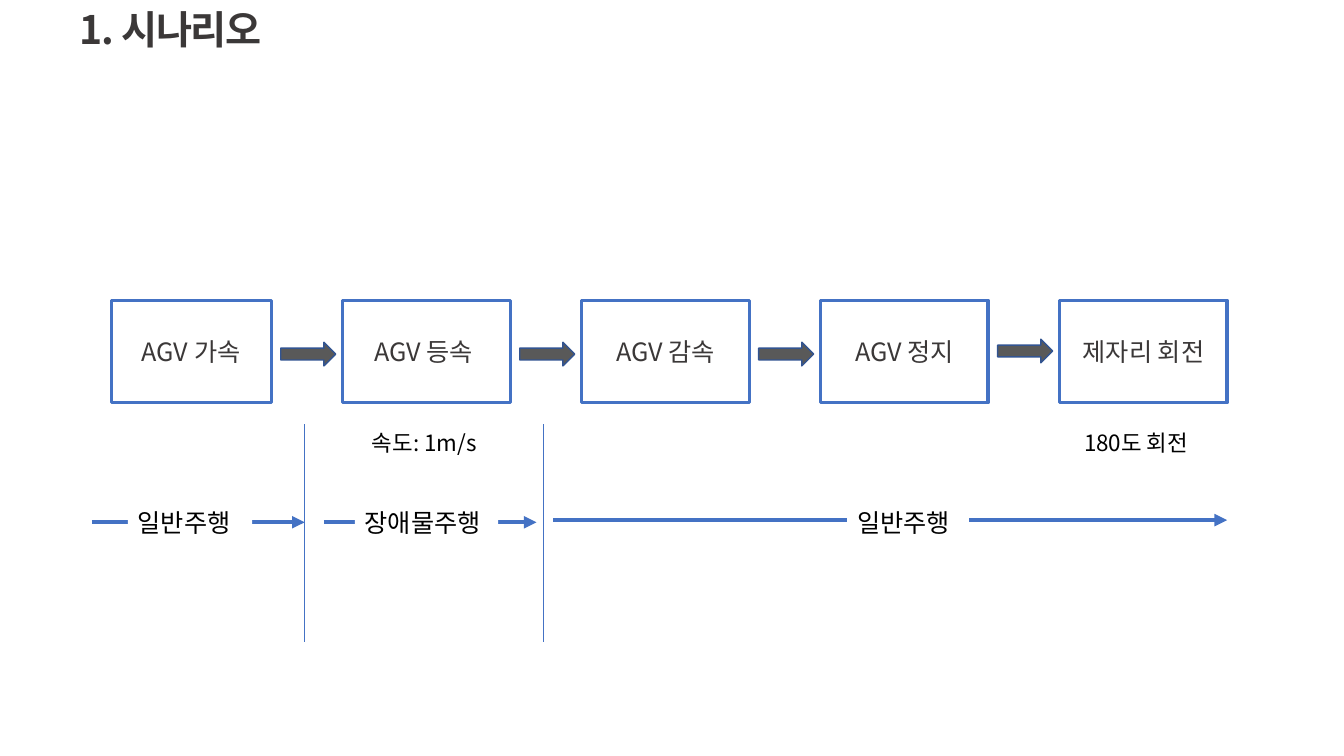
from collections import namedtuple

from lxml import etree
from pptx import Presentation
from pptx.dml.color import RGBColor
from pptx.enum.shapes import MSO_CONNECTOR as Connector, MSO_SHAPE as Shape
from pptx.enum.text import MSO_ANCHOR as Anchor, MSO_AUTO_SIZE as AutoSize, PP_ALIGN as Align
from pptx.oxml.ns import qn
from pptx.util import Inches, Pt

WIDTH, HEIGHT = 13.33, 7.5
COLUMNS = 5
FONT = "Noto Sans CJK KR"
BLUE, NAVY, GRAY, DARK, BLACK, WHITE = "4472C4", "325491", "595959", "3B3838", "000000", "FFFFFF"

Box = namedtuple("Box", "left top width height")


def color(hex_string):
    return RGBColor.from_string(hex_string)


def slide_box(left, top, width, height):
    """Box in inches from percentages of the slide."""
    return Box(left * WIDTH / 100, top * HEIGHT / 100, width * WIDTH / 100, height * HEIGHT / 100)


def grid_box(box, left, top, width, height):
    """Part of a region: columns across, shares of its height down."""
    column = box.width / COLUMNS
    return Box(box.left + left * column, box.top + top * box.height,
               width * column, height * box.height)


def write(shape, text, size, font_color, bold=False, spacing=None):
    frame = shape.text_frame
    frame.text = text
    frame.word_wrap = True
    frame.auto_size = AutoSize.SHAPE_TO_FIT_TEXT
    frame.vertical_anchor = Anchor.TOP
    paragraph = frame.paragraphs[0]
    paragraph.alignment = Align.LEFT
    run = paragraph.runs[0]
    run.font.size, run.font.bold, run.font.name = Pt(size), bold, FONT
    run.font.color.rgb = color(font_color)
    properties = run.font._element
    etree.SubElement(properties, qn("a:ea")).set("typeface", FONT)
    if spacing is not None:
        properties.set("spc", str(spacing * 100))


def add_text(slide, box, *style, **options):
    shape = slide.shapes.add_textbox(*map(Inches, box))
    write(shape, *style, **options)


def add_block(slide, kind, box, fill, line=None, line_width=1):
    shape = slide.shapes.add_shape(kind, *map(Inches, box))
    shape.shadow.inherit = False
    shape.fill.solid()
    shape.fill.fore_color.rgb = color(fill)
    if line:
        shape.line.color.rgb = color(line)
        shape.line.width = Pt(line_width)
    else:
        shape.line.fill.background()
    return shape


def add_line(slide, box, line_width, arrow=False):
    left, top, width, height = box
    line = slide.shapes.add_connector(
        Connector.STRAIGHT, *map(Inches, (left, top, left + width, top + height)))
    line.line.color.rgb = color(BLUE)
    line.line.width = Pt(line_width)
    if arrow:
        etree.SubElement(line.line._get_or_add_ln(), qn("a:tailEnd")).set("type", "triangle")
    etree.SubElement(line._element.spPr, qn("a:effectLst"))


def add_title(slide, box):
    add_text(slide, box, "1. 시나리오", 28, DARK, bold=True, spacing=-1)


def add_steps(slide, box):
    steps = ["AGV 가속", "AGV 등속 ", "AGV 감속", "AGV 정지", "제자리 회전"]
    for index, text in enumerate(steps):
        # Each step ends at the right edge of its column
        width = 0.67 if index == 0 else 0.7
        step = add_block(slide, Shape.RECTANGLE, grid_box(box, index + 1 - width, 0, width, 1),
                         WHITE, BLUE, 2.25)
        write(step, text, 18, DARK)
        step.text_frame.auto_size = AutoSize.NONE
        step.text_frame.vertical_anchor = Anchor.MIDDLE
        step.text_frame.paragraphs[0].alignment = Align.CENTER

    # Arrows between the steps, the last one slightly higher
    for column, top in enumerate([0.41, 0.41, 0.41, 0.38], start=1):
        add_block(slide, Shape.RIGHT_ARROW, grid_box(box, column + 0.04, top, 0.23, 0.23),
                  GRAY, NAVY)


def add_phases(slide, box):
    # Name, track start and end, track height, label start and width
    phases = [
        ("일반주행", 0.25, 1.14, 0.45, 0.4, 0.52),
        ("장애물주행", 1.22, 2.11, 0.45, 1.35, 0.6),
        ("일반주행", 2.18, 5, 0.44, 3.41, 0.51),
    ]
    for name, start, end, level, label_left, label_width in phases:
        add_line(slide, grid_box(box, start, level, end - start, 0), 3, arrow=True)
        label = add_block(slide, Shape.RECTANGLE,
                          grid_box(box, label_left, 0.36, label_width, 0.19), WHITE)
        write(label, name, 18, BLACK)

    # Dividers between the phases
    for column in (1.14, 2.14):
        add_line(slide, grid_box(box, column, 0, 0, 1), 0.5)

    # Notes below the steps
    for text, left in (("속도: 1m/s", 1.38), ("180도 회전", 4.36)):
        add_text(slide, grid_box(box, left, 0, 0.58, 0.17), text, 16, BLACK)


def main():
    presentation = Presentation()
    presentation.slide_width, presentation.slide_height = Inches(WIDTH), Inches(HEIGHT)
    slide = presentation.slides.add_slide(presentation.slide_layouts[6])
    add_title(slide, slide_box(5.18, 0, 76.44, 7.6))
    add_steps(slide, slide_box(2.4, 39.7, 88.9, 13.6))
    add_phases(slide, slide_box(2.4, 56.13, 88.9, 28.8))
    presentation.save("out.pptx")


if __name__ == "__main__":
    main()
